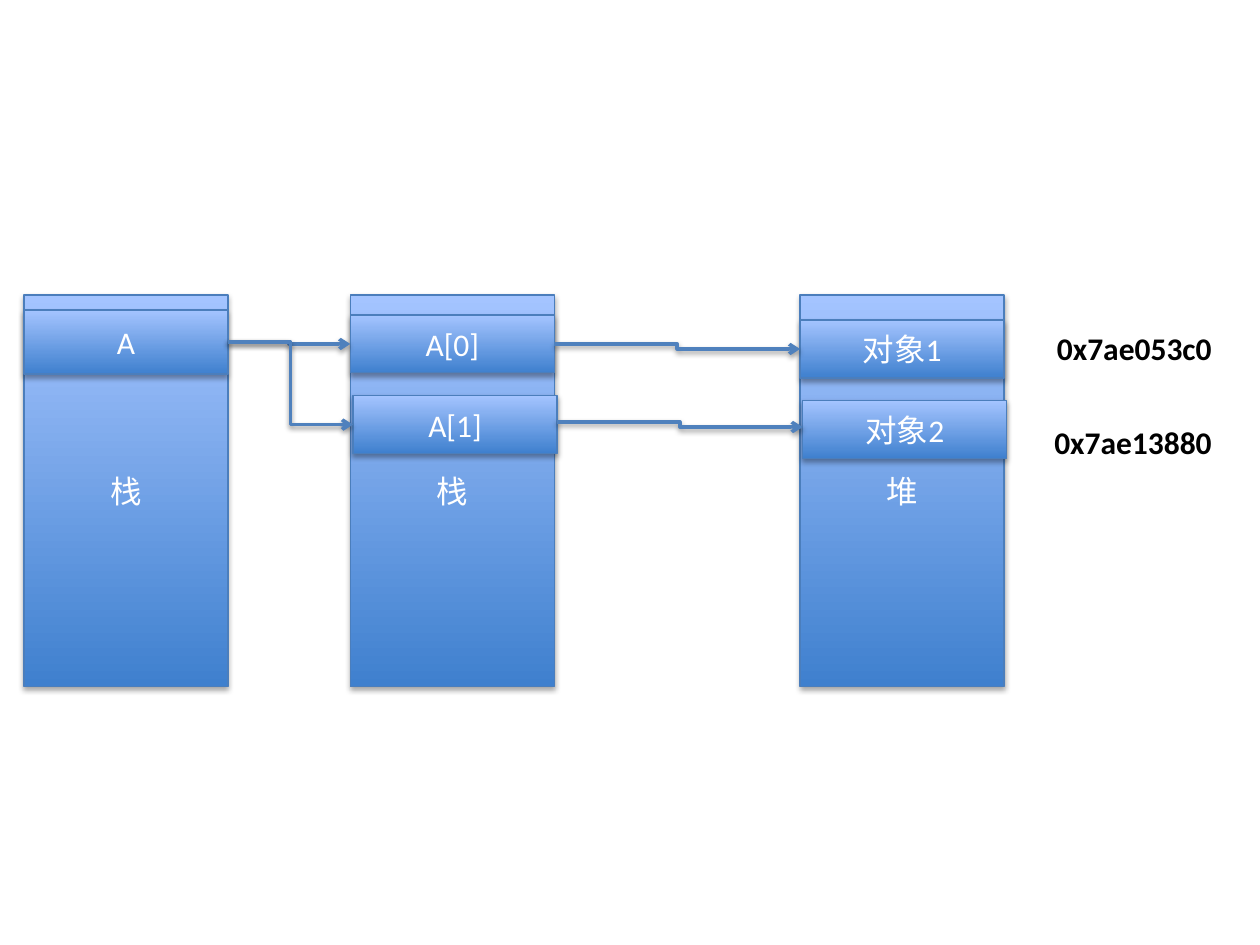
"""Draw how an array on the stack refers to objects on the heap."""
from lxml import etree
from pptx import Presentation
from pptx.dml.color import RGBColor
from pptx.enum.shapes import MSO_CONNECTOR, MSO_SHAPE
from pptx.enum.text import MSO_ANCHOR, MSO_AUTO_SIZE, PP_ALIGN
from pptx.oxml import parse_xml
from pptx.oxml.ns import nsdecls, qn
from pptx.util import Pt

RECTANGLE = MSO_SHAPE.RECTANGLE
ELBOW = MSO_CONNECTOR.ELBOW
CENTER = PP_ALIGN.CENTER
MIDDLE = MSO_ANCHOR.MIDDLE
FIT_TEXT = MSO_AUTO_SIZE.SHAPE_TO_FIT_TEXT
LEFT_SITE, RIGHT_SITE = 1, 3

COLORS = {
    "gradient_bottom": "3F80CE",
    "gradient_top": "A4C4FF",
    "outline": "4B7EBC",
    "arrow": "4F81BD",
    "shadow": "000000",
    "block_text": "FFFFFF",
    "address_text": "000000",
}
BLOCK_FONT = {"name": "Calibri", "size": Pt(18), "bold": False}
ADDRESS_FONT = {"name": "Calibri", "size": Pt(18), "bold": True}

BLOCK_WIDTH = 116.6
MEMORY_TOP, MEMORY_HEIGHT = 168.5, 223.9
CELL_HEIGHT = 33.1
CELL_STEP = 46.1
CELL_SHIFT = 1.5
ARRAY_LEFT, STACK_LEFT, HEAP_LEFT = 13.7, 200.2, 457.2


def color(role):
    return RGBColor.from_string(COLORS[role])


def add_shadow(element, alpha, distance):
    properties = element.find(qn("p:spPr"))
    properties.append(parse_xml(
        f'<a:effectLst {nsdecls("a")}><a:outerShdw blurRad="{Pt(3.1)}" dist="{Pt(distance)}" '
        f'dir="5400000" rotWithShape="0"><a:srgbClr val="{COLORS["shadow"]}">'
        f'<a:alpha val="{alpha * 1000}"/></a:srgbClr></a:outerShdw></a:effectLst>'))


def write_text(frame, text, font_format, role):
    paragraph = frame.paragraphs[0]
    run = paragraph.add_run()
    run.text = text
    for attribute, value in font_format.items():
        setattr(run.font, attribute, value)
    run.font.color.rgb = color(role)
    return paragraph


def add_block(slide, text, left, top, height):
    block = slide.shapes.add_shape(RECTANGLE, Pt(left), Pt(top), Pt(BLOCK_WIDTH), Pt(height))
    block.fill.gradient()
    block.fill.gradient_angle = 90
    for stop, role in zip(block.fill.gradient_stops, ("gradient_bottom", "gradient_top")):
        stop.color.rgb = color(role)
    block.line.color.rgb = color("outline")
    block.line.width = Pt(0.75)
    add_shadow(block._element, 35, 1.8)
    block.text_frame.vertical_anchor = MIDDLE
    write_text(block.text_frame, text, BLOCK_FONT, "block_text").alignment = CENTER
    return block


def add_memory(slide, text, left):
    return add_block(slide, text, left, MEMORY_TOP, MEMORY_HEIGHT)


def add_cells(slide, texts, left, top):
    return [
        add_block(slide, text, left + row * CELL_SHIFT, top + row * CELL_STEP, CELL_HEIGHT)
        for row, text in enumerate(texts)
    ]


def add_reference(slide, source, target, lift=0):
    arrow = slide.shapes.add_connector(ELBOW, 0, 0, 0, 0)
    arrow.begin_connect(source, RIGHT_SITE)
    arrow.end_connect(target, LEFT_SITE)
    arrow.top -= Pt(lift)
    arrow.line.color.rgb = color("arrow")
    arrow.line.width = Pt(2)
    etree.SubElement(arrow.line._get_or_add_ln(), qn("a:tailEnd"), type="arrow")
    add_shadow(arrow._element, 38, 1.6)


def add_address(slide, text, left, top, width):
    box = slide.shapes.add_textbox(Pt(left), Pt(top), Pt(width), Pt(29))
    box.text_frame.word_wrap = False
    box.text_frame.auto_size = FIT_TEXT
    write_text(box.text_frame, text, ADDRESS_FONT, "address_text")


def main():
    presentation = Presentation()
    presentation.slide_width, presentation.slide_height = Pt(720), Pt(540)
    slide = presentation.slides.add_slide(presentation.slide_layouts[6])

    add_memory(slide, "栈", ARRAY_LEFT)
    array = add_block(slide, "A", ARRAY_LEFT, 177.1, 36.7)
    add_memory(slide, "栈", STACK_LEFT)
    elements = add_cells(slide, ("A[0]", "A[1]"), STACK_LEFT, 180)
    add_memory(slide, "堆", HEAP_LEFT)
    objects = add_cells(slide, ("对象1", "对象2"), HEAP_LEFT, 182.9)

    for element in elements:
        add_reference(slide, array, element)
    for element, target, lift in zip(elements, objects, (0, 1.5)):
        add_reference(slide, element, target, lift)

    add_address(slide, "0x7ae053c0", 596.9, 184.3, 103.7)
    add_address(slide, "0x7ae13880", 595.4, 238.3, 105.8)
    presentation.save("out.pptx")


if __name__ == "__main__":
    main()
